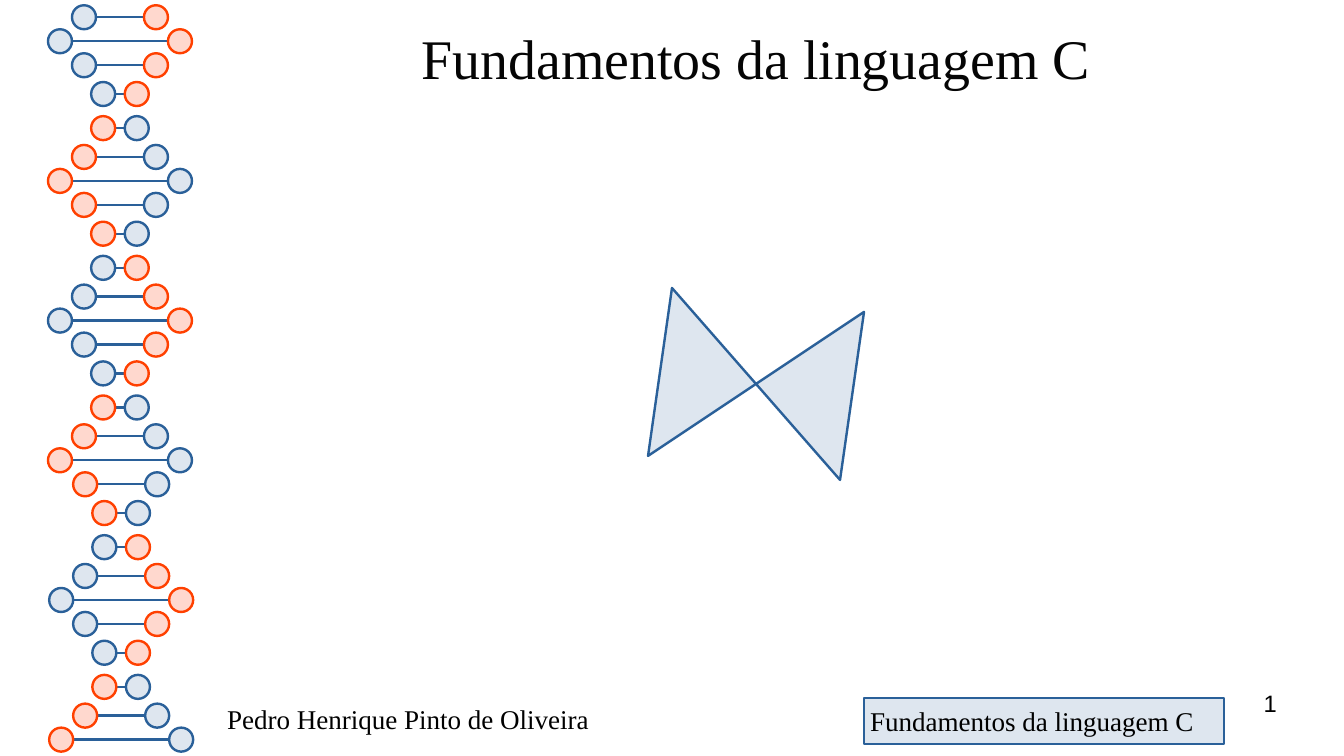
from dataclasses import dataclass

from lxml import etree
from pptx import Presentation
from pptx import util as u
from pptx.dml.color import RGBColor
from pptx.enum import shapes, text
from pptx.oxml.ns import qn


@dataclass(frozen=True)
class Theme:
    blue: tuple = ("DEE6EF", "2A6099")
    orange: tuple = ("FFD8CE", "FF4000")
    title_ink: str = "050505"
    ink: str = "000000"
    serif: str = "Times New Roman"
    sans: str = "Arial"
    title_size: int = 33
    label_size: int = 16
    number_size: int = 14
    stroke: float = 1.42


@dataclass(frozen=True)
class Box:
    x: float
    y: float
    w: float
    h: float


THEME = Theme()
WIDTH, HEIGHT = 11.02, 6.2
COLUMNS = 56


def grid(cells):
    return u.Inches(cells * WIDTH / COLUMNS)


def place(box):
    return [grid(v) for v in (box.x, box.y, box.w, box.h)]


def paint(sp, colours):
    fill, line = colours
    sp.shadow.inherit = False
    sp.fill.solid()
    sp.fill.fore_color.rgb = RGBColor.from_string(fill)
    sp.line.color.rgb = RGBColor.from_string(line)
    sp.line.width = u.Pt(THEME.stroke)


def write(sp, words, size=THEME.label_size, font=THEME.serif, colour=THEME.ink,
          align=text.PP_ALIGN.CENTER, anchor=text.MSO_ANCHOR.MIDDLE, right=0):
    tf = sp.text_frame
    tf.word_wrap = True
    tf.auto_size = text.MSO_AUTO_SIZE.NONE
    tf.vertical_anchor = anchor
    tf.margin_left = tf.margin_top = tf.margin_bottom = 0
    tf.margin_right = grid(right)
    p = tf.paragraphs[0]
    p.alignment = align
    r = p.add_run()
    r.text = words
    r.font.size = u.Pt(size)
    r.font.name = font
    r.font.color.rgb = RGBColor.from_string(colour)


def add_bond(s, left, right, y):
    c = s.shapes.add_connector(shapes.MSO_CONNECTOR.STRAIGHT,
                               grid(left), grid(y), grid(right), grid(y))
    c.line.color.rgb = RGBColor.from_string(THEME.blue[1])
    c.line.width = u.Pt(THEME.stroke)
    etree.SubElement(c._element.spPr, qn("a:effectLst"))


def add_bead(s, x, y, colours):
    sp = s.shapes.add_shape(shapes.MSO_SHAPE.OVAL, *place(Box(x - 0.5, y - 0.5, 1, 1)))
    paint(sp, colours)


def add_helix(s, box, turns=6):
    spread = {-2.2: 0.7, -1: 1.5, 0: 2.5, 1: 1.5, 2.2: 0.7}
    first = 1.72
    step = (box.h - 2.4) / (turns - 1)
    rungs = []
    for turn in range(turns):
        strands = (THEME.blue, THEME.orange) if turn % 2 == 0 else (THEME.orange, THEME.blue)
        for offset, reach in spread.items():
            y = box.y + first + turn * step + offset
            if box.y < y < box.y + box.h:
                drift = 0.05 if y > box.y + box.h * 0.62 else 0
                centre = box.x + box.w / 2 + drift
                rungs.append((centre - reach, centre + reach, y, strands))
    for left, right, y, _ in rungs:
        add_bond(s, left + 0.5, right - 0.5, y)
    for left, right, y, strands in rungs:
        add_bead(s, left, y, strands[0])
        add_bead(s, right, y, strands[1])


def add_title(s, box, words):
    sp = s.shapes.title
    sp.left, sp.top, sp.width, sp.height = place(box)
    write(sp, words, size=THEME.title_size, colour=THEME.title_ink)


def add_bow_tie(s, box):
    corners = [(1, 0), (0, box.h - 1), (box.w, 1), (box.w - 1, box.h)]
    points = [(grid(box.x + x), grid(box.y + y)) for x, y in corners]
    outline = s.shapes.build_freeform(*points[0])
    outline.add_line_segments(points[1:], close=True)
    paint(outline.convert_to_shape(), THEME.blue)


def add_footer(s, box, author, topic, number):
    write(s.shapes.add_textbox(*place(Box(box.x, box.y + 0.3, 16, 1.9))), author)
    tag = s.shapes.add_shape(shapes.MSO_SHAPE.FLOWCHART_PROCESS,
                             *place(Box(box.x + 27, box.y + 0.4, 15, 1.9)))
    paint(tag, THEME.blue)
    write(tag, topic, right=1)
    page = s.shapes.add_textbox(*place(Box(box.x + box.w - 13, box.y, 13, 2.2)))
    write(page, number, size=THEME.number_size, font=THEME.sans,
          align=text.PP_ALIGN.RIGHT, anchor=text.MSO_ANCHOR.TOP)


def build_cover(prs):
    s = prs.slides.add_slide(prs.slide_layouts[5])
    rows = COLUMNS * HEIGHT / WIDTH
    topic = "Fundamentos da linguagem C"
    add_helix(s, Box(2, 0, 6, rows))
    add_title(s, Box(9, -0.2, 45, 5.2), topic)
    add_bow_tie(s, Box(27, 12, 9, 8))
    add_footer(s, Box(9, 28.7, 44.2, 2.3), "Pedro Henrique Pinto de Oliveira", topic, "1")


def main():
    prs = Presentation()
    prs.slide_width, prs.slide_height = u.Inches(WIDTH), u.Inches(HEIGHT)
    build_cover(prs)
    prs.save("out.pptx")


if __name__ == "__main__":
    main()
